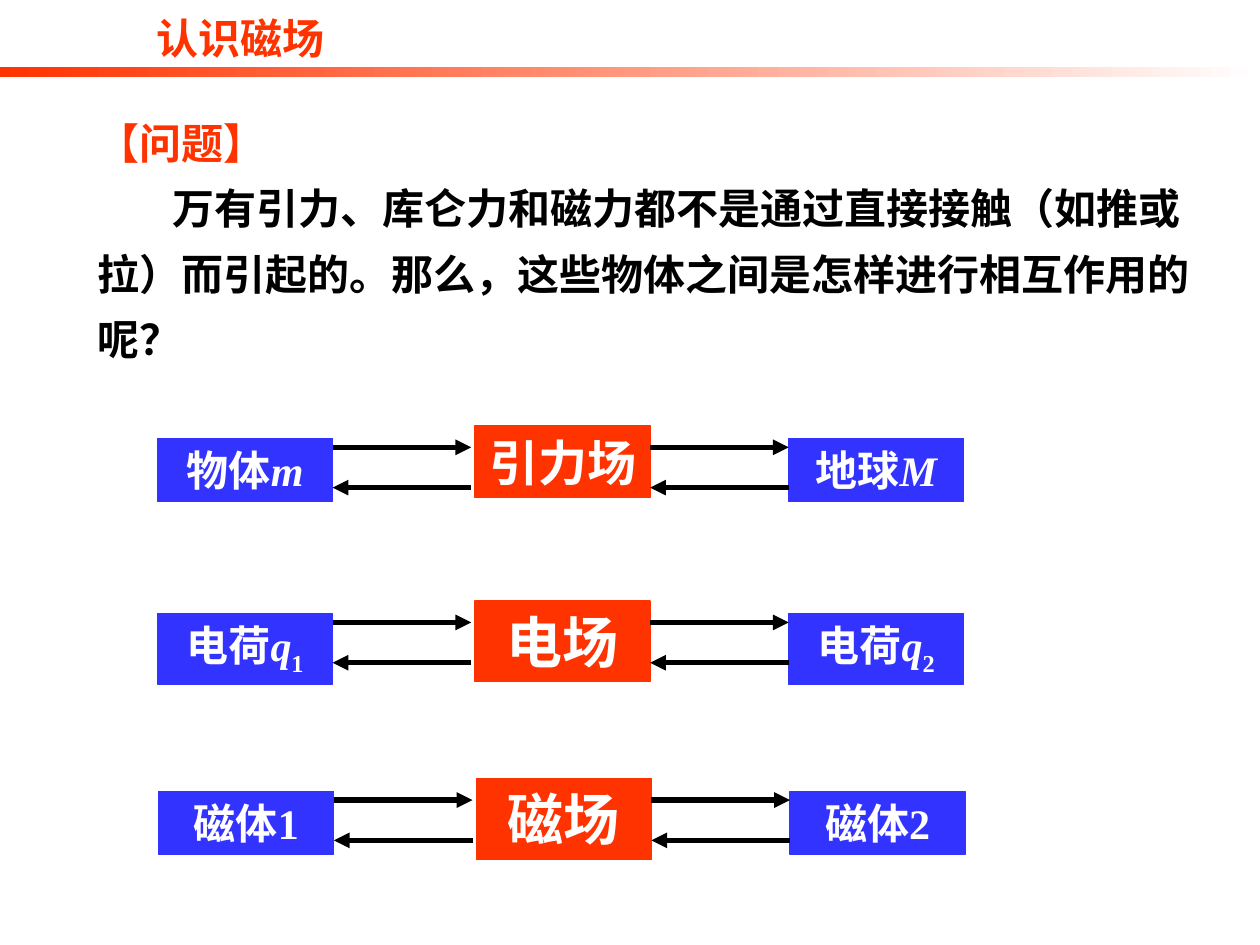
from dataclasses import dataclass

from lxml import etree
from pptx import Presentation
from pptx.dml.color import RGBColor
from pptx.enum.lang import MSO_LANGUAGE_ID
from pptx.enum.shapes import MSO_CONNECTOR, MSO_SHAPE
from pptx.enum.text import MSO_ANCHOR, MSO_AUTO_SIZE, PP_ALIGN
from pptx.oxml.ns import qn
from pptx.util import Inches, Pt

RECTANGLE = MSO_SHAPE.RECTANGLE
STRAIGHT = MSO_CONNECTOR.STRAIGHT
TOP = MSO_ANCHOR.TOP
NO_FIT = MSO_AUTO_SIZE.NONE
LEFT, CENTER = PP_ALIGN.LEFT, PP_ALIGN.CENTER
CHINESE = MSO_LANGUAGE_ID.SIMPLIFIED_CHINESE


@dataclass(frozen=True)
class Theme:
    font: str = "Times New Roman"
    accent: RGBColor = RGBColor(0xFF, 0x33, 0x00)
    body: RGBColor = RGBColor(0x33, 0x33, 0xFF)
    dark: RGBColor = RGBColor(0, 0, 0)
    light: RGBColor = RGBColor(0xFF, 0xFF, 0xFF)
    text: Pt = Pt(24)
    long_field: Pt = Pt(28)
    field: Pt = Pt(32)
    outline: Pt = Pt(0.75)
    arrow: Pt = Pt(3)


THEME = Theme()
QUESTION = (
    "万有引力、库仑力和磁力都不是通过直接接触（如推或拉）而引起的。"
    "那么，这些物体之间是怎样进行相互作用的呢？"
)
ROWS = [
    ((1.25, 3.38), 0.5, [("物体", {}), ("m", {"italic": True})],
     [("地球", {}), ("M", {"italic": True})], "引力场", 0.57, THEME.long_field),
    ((1.25, 4.77), 0.56, [("电荷", {}), ("q", {"italic": True}), ("1", {"subscript": True})],
     [("电荷", {}), ("q", {"italic": True}), ("2", {"subscript": True})], "电场", 0.64, THEME.field),
    ((1.26, 6.18), 0.5, [("磁体1", {})], [("磁体2", {})], "磁场", 0.64, THEME.field),
]


def set_all(target, values):
    for name, value in values.items():
        setattr(target, name, value)


def place(shape, box):
    names = ("left", "top", "width", "height")
    set_all(shape, dict(zip(names, map(Inches, box))))


def add_span(para, text, size, color, italic=False, subscript=False):
    span = para.add_run()
    span.text = text
    set_all(span.font, {"name": THEME.font, "size": size, "bold": True,
                        "italic": italic, "language_id": CHINESE})
    span.font.color.rgb = color
    if subscript:
        span._r.get_or_add_rPr().set("baseline", "-25000")


def prepare_frame(shape):
    frame = shape.text_frame
    set_all(frame, {
        "word_wrap": True, "auto_size": NO_FIT, "vertical_anchor": TOP,
        "margin_left": Inches(0.1), "margin_right": Inches(0.1),
        "margin_top": Inches(0.05), "margin_bottom": Inches(0.05),
    })
    return frame


def build_header(page, box):
    left, top, width, height = box
    band = page.shapes.add_shape(RECTANGLE, 0, 0, 0, 0)
    place(band, (left, top + 0.53, width, height - 0.53))
    band.shadow.inherit = False
    band.line.fill.background()
    band.fill.gradient()
    band.fill.gradient_angle = 0
    for stop, color in zip(band.fill.gradient_stops, (THEME.accent, THEME.light)):
        stop.color.rgb = color
    title = page.shapes.title
    place(title, (left + 1.14, top + 0.05, 3.91, 0.5))
    para = prepare_frame(title).paragraphs[0]
    para.alignment = LEFT
    add_span(para, "认识磁场", THEME.text, THEME.accent)


def build_question(page, box):
    body = page.placeholders[1]
    place(body, box)
    frame = prepare_frame(body)
    lines = [("【问题】", THEME.accent, 0), (QUESTION, THEME.dark, 0.6)]
    for index, (text, color, indent) in enumerate(lines):
        para = frame.add_paragraph() if index else frame.paragraphs[0]
        set_all(para, {"alignment": LEFT, "line_spacing": 1.3, "space_before": Pt(0)})
        properties = para._p.get_or_add_pPr()
        properties.set("marL", "0")
        properties.set("indent", str(Inches(indent)))
        etree.SubElement(properties, qn("a:buNone"))
        add_span(para, text, THEME.text, color)


def add_label(group, box, color, spans, size):
    label = group.shapes.add_shape(RECTANGLE, *map(Inches, box))
    label.shadow.inherit = False
    label.fill.solid()
    label.fill.fore_color.rgb = color
    label.line.color.rgb = color
    label.line.width = THEME.outline
    para = prepare_frame(label).paragraphs[0]
    para.alignment = CENTER
    for text, style in spans:
        add_span(para, text, size, THEME.light, **style)


def add_arrow(group, start, end, height):
    arrow = group.shapes.add_connector(STRAIGHT, *map(Inches, (start, height, end, height)))
    arrow.line.color.rgb = THEME.dark
    arrow.line.width = THEME.arrow
    etree.SubElement(arrow.line._get_or_add_ln(), qn("a:tailEnd"), type="triangle")
    etree.SubElement(arrow._element.spPr, qn("a:effectLst"))


def build_interaction(page, box, side_height, first, second, field, field_height, size):
    left, top, width = box
    label_width, arrow_width = 1.39, 1.1
    right = left + width - label_width
    middle = left + 2.52
    group = page.shapes.add_group_shape()
    for side, spans in ((left, first), (right, second)):
        add_label(group, (side, top + 0.1, label_width, side_height),
                  THEME.body, spans, THEME.text)
    add_label(group, (middle, top, label_width, field_height),
              THEME.accent, [(field, {})], size)
    for start in (left + label_width, middle + label_width):
        end = start + arrow_width
        add_arrow(group, start, end, top + 0.17)
        add_arrow(group, end, start, top + 0.49)


def main():
    deck = Presentation()
    deck.slide_width, deck.slide_height = Inches(10), Inches(7.5)
    page = deck.slides.add_slide(deck.slide_layouts[1])
    build_header(page, (0, 0, 10, 0.61))
    build_question(page, (0.67, 0.76, 8.9, 2.18))
    for corner, *parts in ROWS:
        build_interaction(page, (*corner, 6.4), *parts)
    deck.save("out.pptx")


if __name__ == "__main__":
    main()
